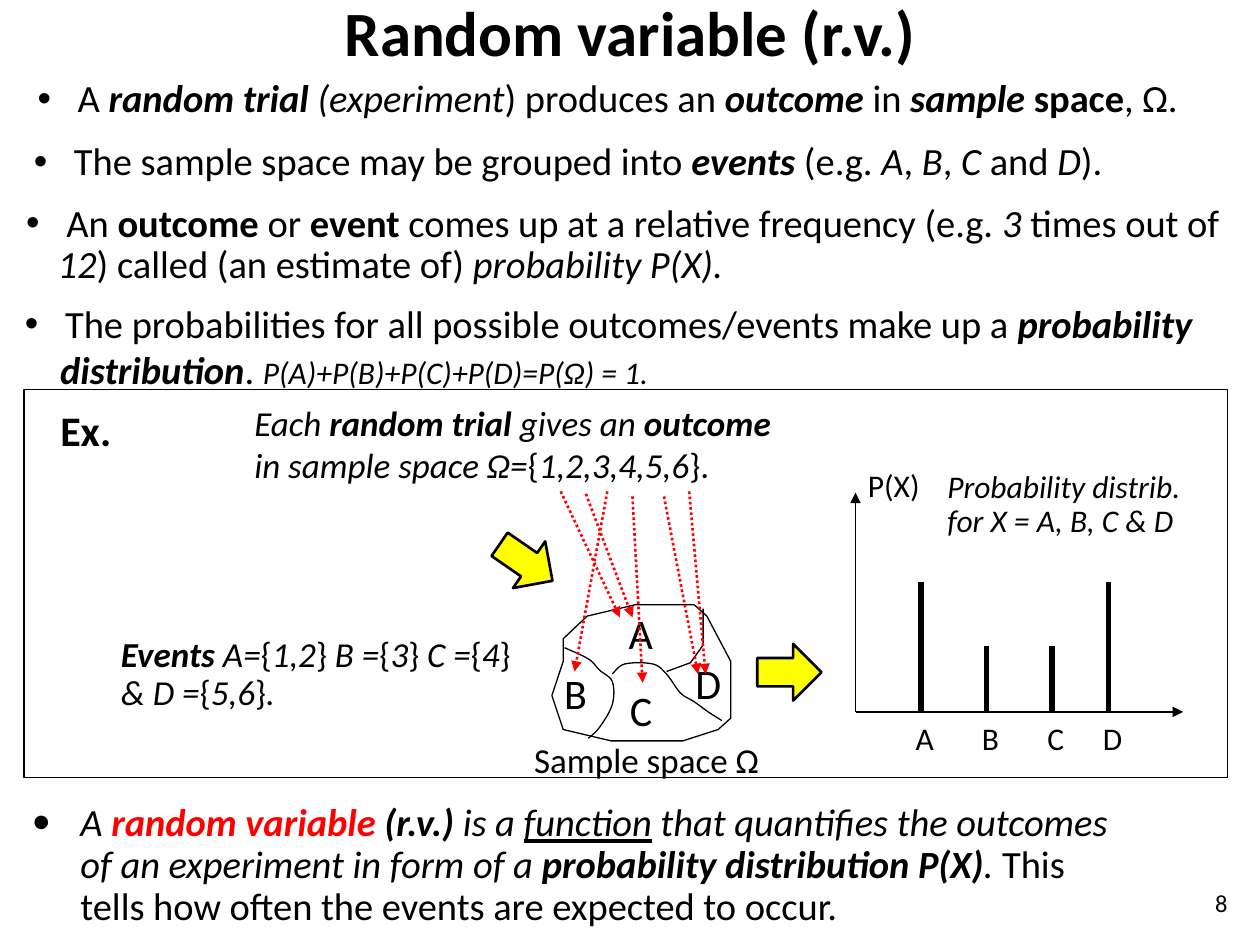
from dataclasses import dataclass

from lxml.etree import SubElement
from pptx import Presentation
from pptx.dml.color import RGBColor
from pptx.enum.dml import MSO_LINE
from pptx.enum.shapes import MSO_CONNECTOR, MSO_SHAPE
from pptx.enum.text import MSO_ANCHOR, PP_ALIGN
from pptx.oxml.ns import qn
from pptx.util import Inches, Pt


@dataclass(frozen=True)
class Theme:
    font: str = "Calibri"
    ink: RGBColor = RGBColor(0, 0, 0)
    red: RGBColor = RGBColor(255, 0, 0)
    yellow: RGBColor = RGBColor(255, 255, 0)
    title: int = 36
    head: int = 24
    body: int = 22
    note: int = 20
    small: int = 18
    page: int = 14
    thin: float = 0.75
    mid: float = 1.5
    thick: float = 3


T = Theme()

# Each run is (text, style): b bold, i italic, u underline, r red, s small.
TRIAL = [(" A ", ""), ("random trial ", "bi"), ("(experiment", "i"), (") produces an ", ""),
         ("outcome", "bi"), (" in ", ""), ("sample ", "bi"), ("space", "b"), (", Ω.", "")]
EVENTS = [(" The sample space may be grouped into ", ""), ("events", "bi"), (" (e.g. ", ""),
          ("A", "i"), (", ", ""), ("B", "i"), (", ", ""), ("C", "i"), (" and ", ""),
          ("D", "i"), (").", "")]
FREQ = [(" An ", ""), ("outcome", "b"), (" or ", ""), ("event", "b"),
        (" comes up at a relative frequency (e.g. ", ""), ("3", "i"), (" times out of ", ""),
        ("12", "i"), (") called (an estimate of) ", ""), ("probability P(X).", "i")]
PROBS = [(" The probabilities for all possible outcomes/events make up a ", ""),
         ("probability", "bi")]
SUM = [("distribution", "bi"), (". ", ""), ("P(A)+P(B)+P(C)+P(D)=P(Ω) = 1.", "is")]
RESULT = [("A ", "i"), ("random variable ", "bir"), ("(r.v.) ", "bi"), ("is a ", "i"),
          ("function", "iu"), (" that quantifies the outcomes of an experiment in form of a ", "i"),
          ("probability distribution P(X)", "bi"), (". ", "i"),
          ("This tells how often the events are expected to occur.", "")]
DRAW = [("Each ", "i"), ("random trial", "bi"), (" gives an ", "i"), ("outcome", "bi"),
        (" in sample space Ω=", "i"), ("{", ""), ("1,2,3,4,5,6", "i"), ("}.", "")]
SETS = [("Events", "bi"), (" A=", "i"), ("{", ""), ("1,2", "i"), ("}", ""), (" B =", "i"),
        ("{", ""), ("3", "i"), ("}", ""), (" C =", "i"), ("{", ""), ("4", "i"), ("}", ""),
        (" & D =", "i"), ("{", ""), ("5,6", "i"), ("}", ""), (".", "i")]

SPACE = [(4.47, 5.25), (4.47, 5.07), (4.66, 4.89), (5.04, 4.8), (5.51, 4.8), (5.61, 4.89),
         (5.8, 5.25), (5.8, 5.7), (5.7, 5.79), (5.42, 5.88), (4.85, 5.88), (4.47, 5.79),
         (4.38, 5.52)]
EDGE_B = [(4.67, 5.86), (4.76, 5.77), (4.86, 5.59), (4.86, 5.41), (4.76, 5.32),
          (4.67, 5.23), (4.48, 5.14)]
EDGE_C = [(4.86, 5.35), (4.96, 5.27), (5.18, 5.27), (5.29, 5.35), (5.4, 5.5),
          (5.51, 5.57), (5.62, 5.65), (5.73, 5.72)]
EDGE_D = [(5.29, 5.33), (5.48, 5.26), (5.58, 5.12), (5.58, 4.83)]
MAPS = [((4.45, 3.9), (4.92, 4.9)), ((4.65, 3.92), (5.02, 4.9)), ((4.82, 3.9), (4.56, 5.33)),
        ((5.02, 3.94), (5.1, 5.42)), ((5.27, 3.94), (5.54, 5.35)), ((5.47, 3.9), (5.6, 5.35))]
NAMES = [("A", 4.89, 4.77), ("B", 4.38, 5.25), ("C", 4.9, 5.38), ("D", 5.42, 5.17)]
BARS = [("A", 7.31, 4.62), ("B", 7.83, 5.13), ("C", 8.35, 5.13), ("D", 8.8, 4.62)]
ZERO = (6.79, 5.65)


def add_para(para, runs, size, space=1.0, align=PP_ALIGN.LEFT):
    para.alignment, para.line_spacing = align, space
    font = para.font
    font.name, font.size, font.color.rgb = T.font, Pt(size), T.ink
    for text, style in runs:
        run = para.add_run()
        run.text = text
        if "b" in style:
            run.font.bold = True
        if "i" in style:
            run.font.italic = True
        if "u" in style:
            run.font.underline = True
        if "r" in style:
            run.font.color.rgb = T.red
        if "s" in style:
            run.font.size = Pt(T.small)


def add_text(slide, box, runs, size, space=1.0, align=PP_ALIGN.LEFT):
    frame = slide.shapes.add_textbox(*map(Inches, box)).text_frame
    frame.word_wrap = True
    add_para(frame.paragraphs[0], runs, size, space, align)
    return frame


def add_bullet(slide, box, runs, space=0.9, hang=0.25, scale=100):
    frame = add_text(slide, box, [], T.body, space)
    para = frame.paragraphs[0]
    props = para._p.get_or_add_pPr()
    props.set("marL", str(Inches(hang)))
    props.set("indent", str(-Inches(hang)))
    mark = props.find(qn("a:defRPr"))
    for tag, key, val in (("a:buSzPct", "val", str(scale * 1000)),
                          ("a:buFont", "typeface", "Arial"), ("a:buChar", "char", "•")):
        item = SubElement(props, qn(tag), {key: val})
        mark.addprevious(item)
    add_para(para, runs, T.body, space)
    return frame


def add_line(slide, start, end, width, color=T.ink, head=False, dash=None):
    line = slide.shapes.add_connector(MSO_CONNECTOR.STRAIGHT, *map(Inches, (*start, *end)))
    line.line.width = Pt(width)
    line.line.color.rgb = color
    if dash:
        line.line.dash_style = dash
    if head:
        SubElement(line.line._get_or_add_ln(), qn("a:tailEnd"), type="triangle")
    SubElement(line._element.spPr, qn("a:effectLst"))


def set_look(shape, width, fill=None):
    shape.shadow.inherit = False
    if fill is None:
        shape.fill.background()
    else:
        shape.fill.solid()
        shape.fill.fore_color.rgb = fill
    shape.line.color.rgb = T.ink
    shape.line.width = Pt(width)


def add_shape(slide, kind, box, width, fill=None, turn=0):
    shape = slide.shapes.add_shape(kind, *map(Inches, box))
    shape.rotation = turn
    set_look(shape, width, fill)


def add_path(slide, points, close=False):
    spots = [(Inches(x), Inches(y)) for x, y in points]
    pen = slide.shapes.build_freeform(*spots[0])
    pen.add_line_segments(spots[1:], close=close)
    set_look(pen.convert_to_shape(), T.thin)


def smooth(points, steps=6):
    """Run a Catmull-Rom curve through the points."""
    ends = [points[0], *points, points[-1]]
    curve = [points[0]]
    for quad in zip(ends, ends[1:], ends[2:], ends[3:]):
        for step in range(1, steps + 1):
            t = step / steps
            curve.append(tuple(
                (2 * b + (c - a) * t + (2 * a - 5 * b + 4 * c - d) * t ** 2
                 + (3 * b - a - 3 * c + d) * t ** 3) / 2 for a, b, c, d in zip(*quad)))
    return curve


def draw_space(slide):
    add_path(slide, SPACE, close=True)
    add_path(slide, smooth(EDGE_B))
    add_path(slide, smooth(EDGE_C))
    add_path(slide, EDGE_D)
    for name, x, y in NAMES:
        add_text(slide, (x, y, 0.57, 0.51), [(name, "")], T.head)
    for start, end in MAPS:
        add_line(slide, start, end, T.mid, T.red, True, MSO_LINE.ROUND_DOT)
    add_text(slide, (4.14, 5.81, 2.49, 0.44), [("Sample space Ω", "")], T.note)


def draw_plot(slide):
    for end in ((9.39, ZERO[1]), (ZERO[0], 3.91)):
        add_line(slide, ZERO, end, T.thin, head=True)
    for name, x, top in BARS:
        add_line(slide, (x, top), (x, ZERO[1]), T.thick)
        add_text(slide, (x - 0.22, 5.66, 0.5, 0.4), [(name, "")], T.small,
                 align=PP_ALIGN.CENTER)
    add_text(slide, (6.79, 3.65, 0.95, 0.4), [("P(X)", "")], T.small)
    add_text(slide, (7.42, 3.69, 2.23, 0.65),
             [("Probability distrib. for X = A, B, C & D", "i")], T.small, 0.9)


def main():
    deck = Presentation()
    deck.slide_width, deck.slide_height = Inches(10), Inches(7.5)
    slide = deck.slides.add_slide(deck.slide_layouts[6])

    title = add_text(slide, (0.25, 0, 9.5, 0.5), [("Random variable (r.v.)", "b")],
                     T.title, align=PP_ALIGN.CENTER)
    title.vertical_anchor = MSO_ANCHOR.MIDDLE
    add_bullet(slide, (0.2, 0.58, 9.67, 0.43), TRIAL)
    add_bullet(slide, (0.17, 1.08, 9.33, 0.43), EVENTS)
    add_bullet(slide, (0.11, 1.57, 9.89, 0.8), FREQ)
    probs = add_bullet(slide, (0.1, 2.33, 9.64, 0.84), PROBS, space=1.0)
    total = probs.add_paragraph()
    total._p.get_or_add_pPr().set("marL", str(Inches(0.28)))
    add_para(total, SUM, T.body)

    add_shape(slide, MSO_SHAPE.RECTANGLE, (0.19, 3.09, 9.55, 3.08), T.thin)
    add_text(slide, (0.38, 3.16, 0.75, 0.5), [("Ex.", "b")], T.head)
    add_text(slide, (1.92, 3.14, 4.53, 0.77), DRAW, T.note)
    sets = add_text(slide, (0.94, 5.01, 3.25, 0.71), SETS, T.note, 0.9)
    sets.margin_left = sets.margin_right = Inches(0.02)
    draw_space(slide)
    draw_plot(slide)
    for x, y, turn in ((3.92, 4.24, 34.6), (6.01, 5.11, 0)):
        add_shape(slide, MSO_SHAPE.RIGHT_ARROW, (x, y, 0.51, 0.45), T.mid, T.yellow, turn)

    add_bullet(slide, (0.16, 6.33, 8.92, 1.1), RESULT, hang=0.38, scale=130)
    add_text(slide, (9.42, 7, 0.42, 0.5), [("8", "")], T.page, align=PP_ALIGN.RIGHT)
    deck.save("out.pptx")


if __name__ == "__main__":
    main()
